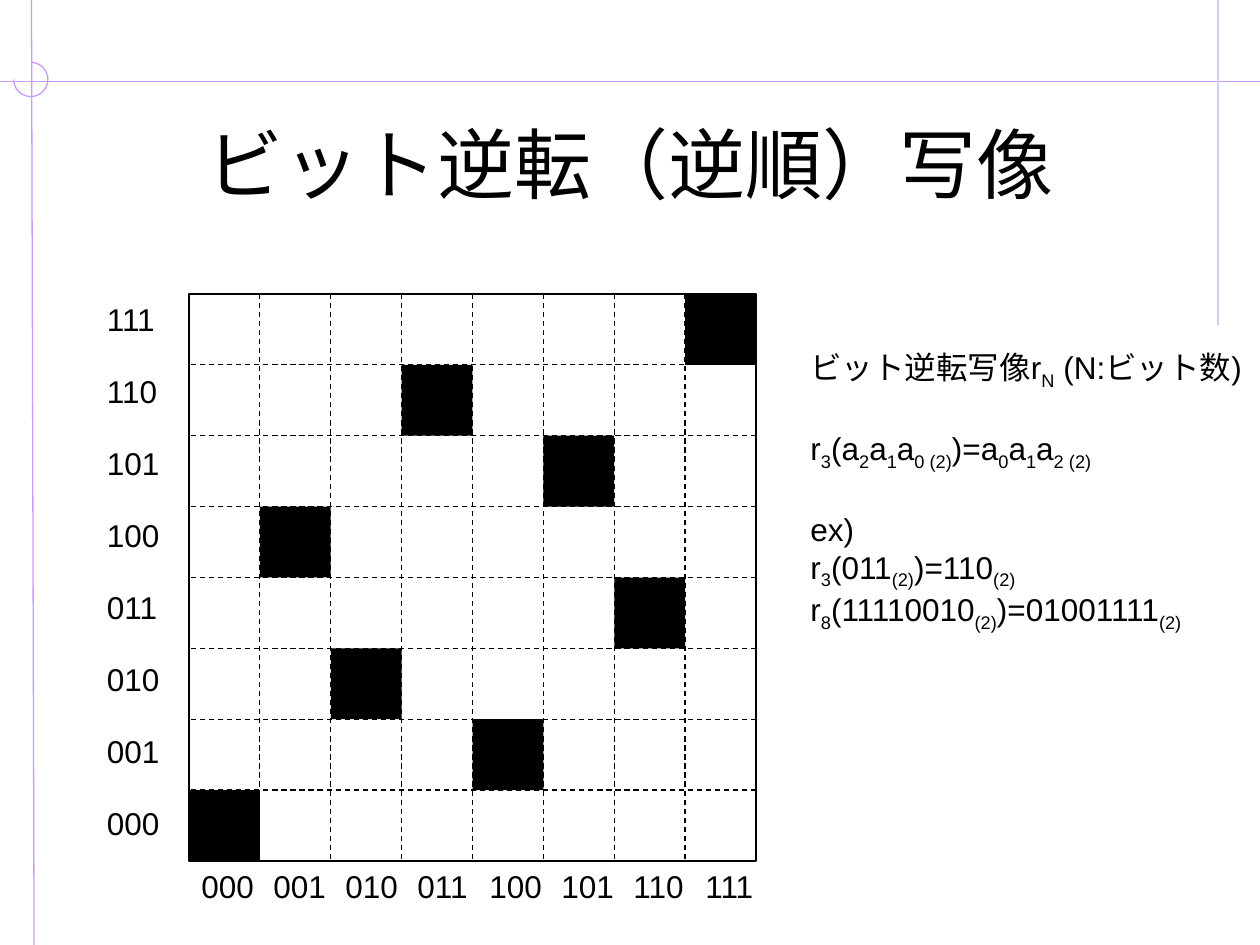
from pptx import Presentation
from pptx.dml.color import RGBColor
from pptx.enum.dml import MSO_LINE
from pptx.enum.shapes import MSO_CONNECTOR, MSO_SHAPE
from pptx.enum.text import MSO_ANCHOR, MSO_AUTO_SIZE, PP_ALIGN
from pptx.oxml.ns import qn
from pptx.util import Pt

BLACK = RGBColor(0x00, 0x00, 0x00)
PURPLE = RGBColor(0xCC, 0x99, 0xFF)
LAVENDER = RGBColor(0xCC, 0xCC, 0xFF)

BITS = 3
COUNT = 2 ** BITS
CODES = [f"{value:0{BITS}b}" for value in range(COUNT)]

# Each line alternates normal and subscript text, then gives the space before
NOTES = [
    (["ビット逆転写像r", "N", " (N:ビット数)"], 0),
    (["r", "3", "(a", "2", "a", "1", "a", "0 (2)", ")=a", "0", "a", "1", "a", "2 (2)"], 21.7),
    (["ex)"], 21.7),
    (["r", "3", "(011", "(2)", ")=110", "(2)"], 0),
    (["r", "8", "(11110010", "(2)", ")=01001111", "(2)"], 0),
]


def add_line(shapes, x1, y1, x2, y2, color, dash=None):
    line = shapes.add_connector(MSO_CONNECTOR.STRAIGHT, Pt(x1), Pt(y1), Pt(x2), Pt(y2))
    line.line.color.rgb = color
    line.line.width = Pt(0.75)
    if dash:
        line.line.dash_style = dash
    properties = line._element.spPr
    properties.append(properties.makeelement(qn("a:effectLst"), {}))
    return line


def add_text_box(slide, left, top, width, height, wrap):
    box = slide.shapes.add_textbox(Pt(left), Pt(top), Pt(width), Pt(height))
    frame = box.text_frame
    frame.word_wrap = wrap
    frame.auto_size = MSO_AUTO_SIZE.SHAPE_TO_FIT_TEXT
    return frame


def format_font(paragraph, name, size):
    paragraph.font.name = name
    paragraph.font.size = Pt(size)
    paragraph.font.color.rgb = BLACK


def add_decoration(slide, width, height):
    # Crossing rules with a three-quarter ring at the corner
    add_line(slide.shapes, 18, 0, 19.5, height, PURPLE)
    add_line(slide.shapes, width, 46.7, 0, 46.7, PURPLE)
    ring = slide.shapes.add_shape(MSO_SHAPE.ARC, Pt(7.8), Pt(35.6), Pt(19.6), Pt(19.6))
    # Angles are stored in 60000ths of a degree, scaled here by 100000
    ring.adjustments[0] = 270 * 0.6
    ring.adjustments[1] = 180 * 0.6
    ring.shadow.inherit = False
    ring.fill.background()
    ring.line.color.rgb = PURPLE
    ring.line.width = Pt(0.75)
    add_line(slide.shapes, 696, 0, 696, 186, LAVENDER)


def add_title(slide, left, top, width, height):
    title = slide.shapes.title
    title.left, title.top, title.width, title.height = map(Pt, (left, top, width, height))
    frame = title.text_frame
    frame.text = "ビット逆転（逆順）写像"
    frame.vertical_anchor = MSO_ANCHOR.MIDDLE
    paragraph = frame.paragraphs[0]
    paragraph.alignment = PP_ALIGN.CENTER
    format_font(paragraph, "Times New Roman", 44)


def add_grid(slide, left, top, side):
    shapes = slide.shapes.add_group_shape().shapes
    cell = side / COUNT
    right, bottom = left + side, top + side

    # Outer frame
    frame = shapes.add_shape(MSO_SHAPE.RECTANGLE, Pt(left), Pt(top), Pt(side), Pt(side))
    frame.shadow.inherit = False
    frame.fill.background()
    frame.line.color.rgb = BLACK
    frame.line.width = Pt(0.75)

    # Dashed dividers; the middle ones meet the frame's side centres
    for index in range(1, COUNT):
        x, y = left + index * cell, top + index * cell
        vertical = add_line(shapes, x, top, x, bottom, BLACK, MSO_LINE.DASH)
        horizontal = add_line(shapes, right, y, left, y, BLACK, MSO_LINE.DASH)
        if index == COUNT // 2:
            vertical.begin_connect(frame, 0)
            vertical.end_connect(frame, 2)
            horizontal.begin_connect(frame, 3)
            horizontal.end_connect(frame, 1)

    # Black cell where the row is the bit reversal of the column
    for column, code in enumerate(CODES):
        row = int(code[::-1], 2)
        mark = shapes.add_shape(MSO_SHAPE.RECTANGLE, Pt(left + column * cell),
                                Pt(bottom - (row + 1) * cell), Pt(cell), Pt(cell))
        mark.shadow.inherit = False
        mark.fill.solid()
        mark.fill.fore_color.rgb = BLACK
        mark.line.fill.background()


def add_axis_labels(slide, left, top, step_x, step_y):
    for index, code in enumerate(CODES):
        frame = add_text_box(slide, left + index * step_x, top + index * step_y, 45, 29, False)
        frame.text = code
        format_font(frame.paragraphs[0], "Arial", 18)


def add_notes(slide, left, top, width, height):
    frame = add_text_box(slide, left, top, width, height, True)
    for index, (parts, space) in enumerate(NOTES):
        paragraph = frame.add_paragraph() if index else frame.paragraphs[0]
        paragraph.space_before = Pt(space)
        format_font(paragraph, "Arial", 18)
        for position, text in enumerate(parts):
            run = paragraph.add_run()
            run.text = text
            if position % 2:
                run.font._element.set("baseline", "-25000")


def main():
    presentation = Presentation()
    presentation.slide_width, presentation.slide_height = Pt(720), Pt(540)
    slide = presentation.slides.add_slide(presentation.slide_layouts[5])

    add_decoration(slide, 720, 540)
    add_title(slide, 54, 48, 612, 90)
    add_grid(slide, 108, 168, 324)
    label_step = 288 / (COUNT - 1)
    add_axis_labels(slide, 108, 492, label_step, 0)
    add_axis_labels(slide, 54, 456, 0, -label_step)
    add_notes(slide, 456, 195.2, 264, 217)

    presentation.save("out.pptx")


if __name__ == "__main__":
    main()
